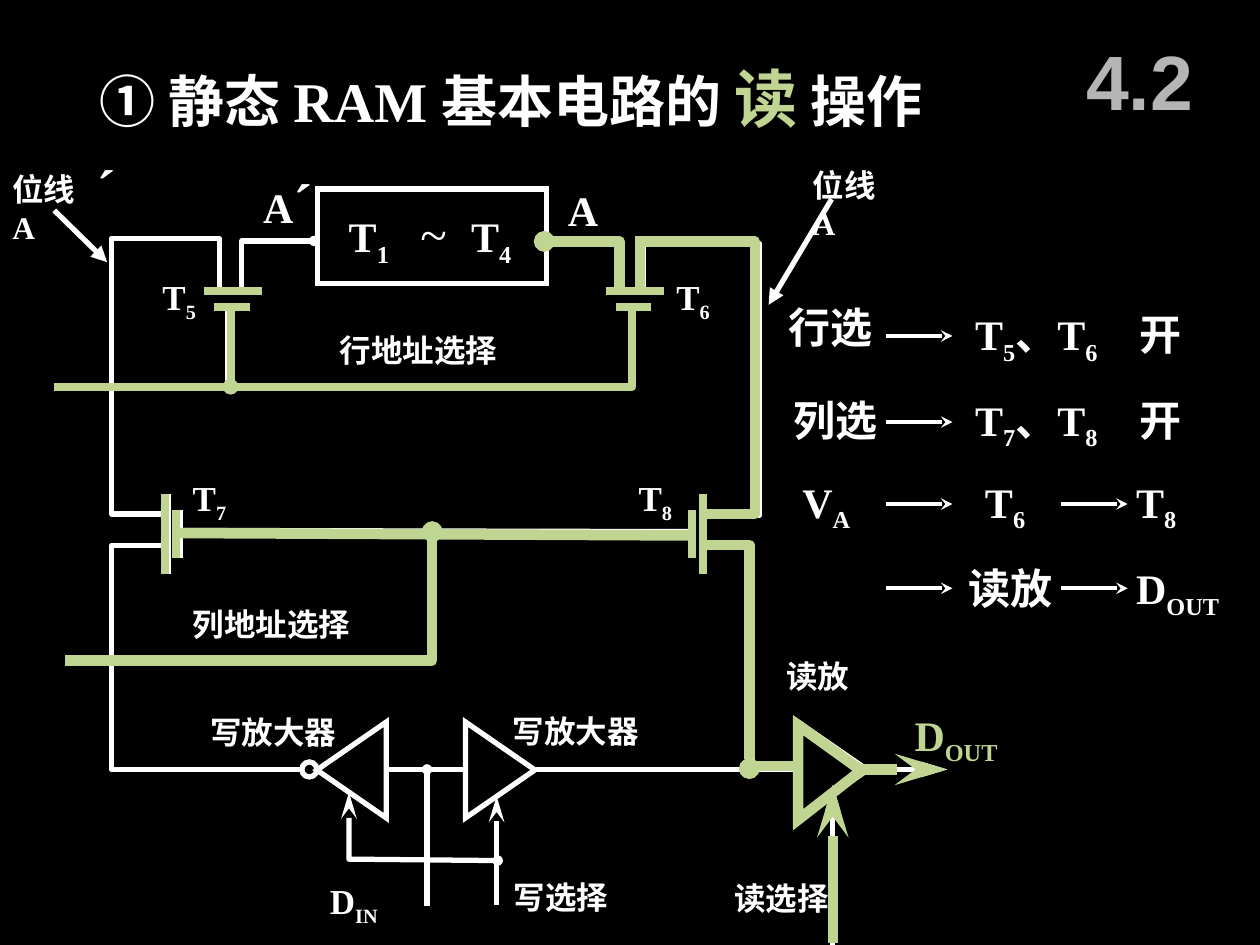
from dataclasses import dataclass

from lxml import etree
from pptx import Presentation
from pptx.dml.color import RGBColor
from pptx.enum.shapes import MSO_CONNECTOR, MSO_SHAPE
from pptx.enum.text import MSO_ANCHOR, MSO_AUTO_SIZE, PP_ALIGN
from pptx.oxml.ns import qn
from pptx.util import Pt

STRAIGHT = MSO_CONNECTOR.STRAIGHT
RECTANGLE, TRIANGLE, OVAL = MSO_SHAPE.RECTANGLE, MSO_SHAPE.ISOSCELES_TRIANGLE, MSO_SHAPE.OVAL
TOP, MIDDLE = MSO_ANCHOR.TOP, MSO_ANCHOR.MIDDLE
LEFT, CENTER = PP_ALIGN.LEFT, PP_ALIGN.CENTER
FIT_SHAPE, NO_FIT = MSO_AUTO_SIZE.SHAPE_TO_FIT_TEXT, MSO_AUTO_SIZE.NONE

WHITE, GREEN, GREY, BLACK = "FFFFFF", "C0D591", "B5B5B5", "000000"
SERIF, SANS = "Times New Roman", "Arial"

# Line ends: type, width, length
DOT = ("oval", "sm", "sm")
LONG_ARROW = ("stealth", "med", "lg")
ARROW = ("stealth", "med", "med")
POINTER = ("triangle", "med", "med")


@dataclass
class Run:
    text: str
    size: float
    color: str = WHITE
    sub: bool = False
    bold: bool = True
    font: str = SERIF


@dataclass
class Wire:
    points: list
    head: tuple = None
    tail: tuple = None


@dataclass
class Label:
    left: float
    top: float
    width: float
    height: float
    text: str  # parts between bars alternate: normal, subscript
    size: float = 18
    color: str = WHITE
    wrap: bool = False
    inset: float = 7.2
    tabs: tuple = ()


def rgb(color: str) -> RGBColor:
    return RGBColor.from_string(color)


def style_line(shape, color: str, weight: float, head=None, tail=None, miter=False) -> None:
    shape.line.color.rgb = rgb(color)
    shape.line.width = Pt(weight)
    ln = shape.line._get_or_add_ln()
    if miter:
        etree.SubElement(ln, qn("a:miter"), lim="800000")
    for tag, end in (("a:headEnd", head), ("a:tailEnd", tail)):
        if end:
            etree.SubElement(ln, qn(tag), type=end[0], w=end[1], len=end[2])


def draw_wire(wire: Wire, color: str, weight: float) -> None:
    points = [(Pt(x), Pt(y)) for x, y in wire.points]
    if len(points) == 2:
        line = slide.shapes.add_connector(STRAIGHT, *points[0], *points[1])
        style_line(line, color, weight, wire.head, wire.tail)
        etree.SubElement(line._element.spPr, qn("a:effectLst"))
        return
    builder = slide.shapes.build_freeform(*points[0])
    builder.add_line_segments(points[1:], close=False)
    path = builder.convert_to_shape()
    path.fill.background()
    path.shadow.inherit = False
    style_line(path, color, weight, wire.head, wire.tail)


def draw_outline(kind, box: tuple, color=WHITE, weight=3.0, rotation=0):
    outline = slide.shapes.add_shape(kind, *map(Pt, box))
    outline.rotation = rotation
    outline.fill.background()
    outline.shadow.inherit = False
    style_line(outline, color, weight, miter=True)
    return outline


def draw_transistors(color: str, weight: float, left_shift=0.0, right_shift=0.0) -> None:
    bars = []
    for x in (116.6, 346.3):  # T5, T6
        bars += [[(x, 166.3), (x + 33, 166.3)], [(x + 5.8, 175.2), (x + 26, 175.2)]]
    for channel, gate in ((96.4 + left_shift, 103 + left_shift),
                          (402.4 + right_shift, 396 + right_shift)):  # T7, T8
        bars += [[(channel, 282.2), (channel, 328.3)], [(gate, 291.2), (gate, 318.8)]]
    for bar in bars:
        draw_wire(Wire(bar), color, weight)


def write_runs(paragraph, runs: list) -> None:
    for part in runs:
        run = paragraph.add_run()
        run.text = part.text
        run.font.size = Pt(part.size)
        run.font.bold = part.bold
        run.font.name = part.font
        run.font.color.rgb = rgb(part.color)
        if part.sub:
            run._r.get_or_add_rPr().set("baseline", "-25000")


def draw_label(label: Label, runs=None) -> None:
    box = slide.shapes.add_textbox(*map(Pt, (label.left, label.top, label.width, label.height)))
    frame = box.text_frame
    frame.word_wrap = label.wrap
    frame.auto_size = FIT_SHAPE
    frame.margin_left = frame.margin_right = Pt(label.inset)
    paragraph = frame.paragraphs[0]
    if label.tabs:
        stops = etree.SubElement(paragraph._p.get_or_add_pPr(), qn("a:tabLst"))
        for stop in label.tabs:
            etree.SubElement(stops, qn("a:tab"), pos=str(Pt(stop)), algn="l")
    write_runs(paragraph, runs or [Run(text, label.size, label.color, sub=i % 2 == 1)
                                   for i, text in enumerate(label.text.split("|"))])


prs = Presentation()
prs.slide_width, prs.slide_height = Pt(720), Pt(540)
slide = prs.slides.add_slide(prs.slide_layouts[5])
slide.background.fill.solid()
slide.background.fill.fore_color.rgb = rgb(BLACK)

# Title and section number
title = slide.shapes.title
title.left, title.top, title.width, title.height = Pt(49.8), Pt(30.2), Pt(544), Pt(50.4)
title.text_frame.vertical_anchor = TOP
title.text_frame.auto_size = NO_FIT
title.text_frame.paragraphs[0].alignment = LEFT
write_runs(title.text_frame.paragraphs[0], [
    Run("① 静态 RAM 基本电路的 ", 32), Run("读", 36, GREEN), Run(" 操作", 32)])

section = slide.shapes.add_textbox(Pt(606.2), Pt(12.2), Pt(90), Pt(66.2)).text_frame
section.word_wrap = True
section.vertical_anchor = MIDDLE
section.paragraphs[0].alignment = CENTER
write_runs(section.paragraphs[0], [Run("4.2", 44, GREY, font=SANS)])

# Memory cell and write amplifiers
draw_outline(RECTANGLE, (181.4, 108, 131, 54))
for left, rotation in ((258.5, 90), (173.5, 270), (448.6, 90)):
    draw_outline(TRIANGLE, (left, 420.2, 54.7, 39.6), rotation=rotation)
draw_outline(OVAL, (172.5, 435.4, 8.6, 8.6))

# Circuit at rest
draw_transistors(WHITE, 3)
for wire in (
    Wire([(312.5, 139), (355, 139), (355, 165.6)], head=DOT),
    Wire([(179.5, 137.7), (138.2, 137.7), (138.2, 166)], head=DOT),
    Wire([(125.3, 165.6), (125.3, 136.3), (63.7, 136.3), (63.7, 293.8), (96.5, 293.8)]),
    Wire([(367.9, 166.3), (367.9, 139), (433.8, 139), (433.8, 294.5), (402.5, 294.5)]),
    Wire([(361.5, 175), (361.5, 221), (31, 221)]),
    Wire([(130.3, 175), (130.3, 221)], tail=DOT),
    Wire([(103, 303.1), (396.7, 303.8)]),
    Wire([(247, 303.1), (247, 376), (37.4, 376)], head=DOT),
    Wire([(96.5, 311.8), (63.7, 311.8), (63.7, 439.7), (171.4, 439.7)]),
    Wire([(403.9, 311.8), (429.8, 311.8), (429.8, 439.7)], tail=DOT),
    Wire([(306, 439.7), (456.5, 439.7)]),
    Wire([(221, 439.7), (266.4, 439.7)]),
    Wire([(244, 439.7), (244, 517.7)], head=DOT),
    Wire([(283.8, 517), (283.8, 455)], tail=LONG_ARROW),
    Wire([(199.4, 452.9), (199.4, 491), (284.4, 491.8)], head=LONG_ARROW, tail=DOT),
    Wire([(495.4, 439.7), (541.4, 439.7)], tail=LONG_ARROW),
    Wire([(475.9, 540), (475.9, 448.6)], tail=LONG_ARROW),
    Wire([(475.2, 113.8), (439.2, 174.2)], tail=POINTER),
    Wire([(31, 120.2), (61.2, 149.8)], tail=POINTER),
):
    draw_wire(wire, WHITE, 3)

# Active read path
for wire in (
    Wire([(247, 303.8), (247, 377.3), (37.4, 377.3)], head=DOT),
    Wire([(101.5, 304.6), (396.7, 306)]),
    Wire([(311, 138), (354, 138), (354, 165.6)], head=DOT),
    Wire([(401.8, 311.4), (428.2, 311.4), (428.2, 439.2)], tail=DOT),
    Wire([(429.1, 437.8), (457.2, 437.8)]),
    Wire([(475.9, 538.6), (475.9, 448.6)], tail=LONG_ARROW),
    Wire([(365.8, 138), (431.3, 138), (431.3, 293.6), (401, 293.6)]),
    Wire([(365.8, 165), (365.8, 135)]),
    Wire([(490.3, 439.7), (541.2, 439.7)], tail=LONG_ARROW),
):
    draw_wire(wire, GREEN, 6)
for wire in (
    Wire([(361.4, 175), (361.4, 221), (31, 221)]),
    Wire([(131.8, 175), (131.8, 221)], tail=DOT),
):
    draw_wire(wire, GREEN, 4.5)
draw_transistors(GREEN, 4.5, left_shift=-2.2, right_shift=-0.6)
read_amplifier = draw_outline(TRIANGLE, (447.1, 423.4, 54, 36), GREEN, 6, 90)
read_amplifier.adjustments[0] = 0.48

# Read sequence arrows
SEQUENCE_ROWS = (192, 241.2, 288, 336.2)
for y in SEQUENCE_ROWS:
    draw_wire(Wire([(506.2, y), (544.3, y)], tail=ARROW), WHITE, 2.25)
for y in SEQUENCE_ROWS[2:]:
    draw_wire(Wire([(606.2, y), (644.4, y)], tail=ARROW), WHITE, 2.25)

# Labels
draw_label(Label(143.3, 92.2, 42.5, 45.4, ""), [Run("A", 24), Run("´", 32)])
draw_label(Label(192.2, 113, 142.6, 41, "", wrap=True, tabs=(41, 70)), [
    Run("T", 24), Run("1", 24, sub=True), Run("\t~\t", 28, bold=False),
    Run("T", 24), Run("4", 24, sub=True)])
for label in (
    Label(317.5, 102.2, 31.7, 36, "A", 24),
    Label(85.7, 154.1, 34.6, 31, "T|5", 20),
    Label(379.4, 154.1, 34.6, 31, "T|6", 20),
    Label(103, 268.6, 34.6, 31, "T|7", 20),
    Label(357.8, 268.6, 34.6, 31, "T|8", 20),
    Label(113, 403.9, 87.1, 28.8, "写放大器"),
    Label(285.8, 403.2, 87.1, 28.8, "写放大器"),
    Label(181.4, 499, 43.2, 31, "D|IN", 20),
    Label(286.6, 498.2, 69.1, 28.8, "写选择"),
    Label(412.6, 499, 69.1, 28.8, "读选择"),
    Label(442.1, 372.2, 50.4, 28.8, "读放"),
    Label(457.2, 91.4, 60, 50, "位线A", wrap=True),
    Label(0, 93.6, 60, 50, "位线A", wrap=True),
    Label(48.2, 84.2, 25.2, 45.4, "´", 32),
    Label(103, 342, 105.1, 28.8, "列地址选择"),
    Label(187.2, 185.8, 105.1, 28.8, "行地址选择"),
    Label(515.5, 401.8, 66.2, 36, "D|OUT", 24, GREEN),
    Label(446.4, 169, 60, 36, "行选", 24, wrap=True, inset=4.3),
    Label(555.8, 172.8, 139, 36, "T|5|、T|6|\t开", 24, wrap=True, inset=1.4, tabs=(94,)),
    Label(452.2, 221.8, 59.8, 36, "列选", 24, wrap=True, inset=1.4),
    Label(555.8, 221.8, 139, 36, "T|7|、T|8|\t开", 24, wrap=True, inset=1.4, tabs=(94,)),
    Label(451.4, 268.6, 60, 36, "V|A", 24, wrap=True),
    Label(555.8, 268.6, 38.2, 36, "T|6", 24),
    Label(642.2, 268.6, 38.2, 36, "T|8", 24),
    Label(552.2, 318.2, 66.2, 36, "读放", 24, wrap=True, inset=1.4),
    Label(642.2, 318.2, 77, 36, "D|OUT", 24, wrap=True),
):
    draw_label(label)

prs.save("out.pptx")
